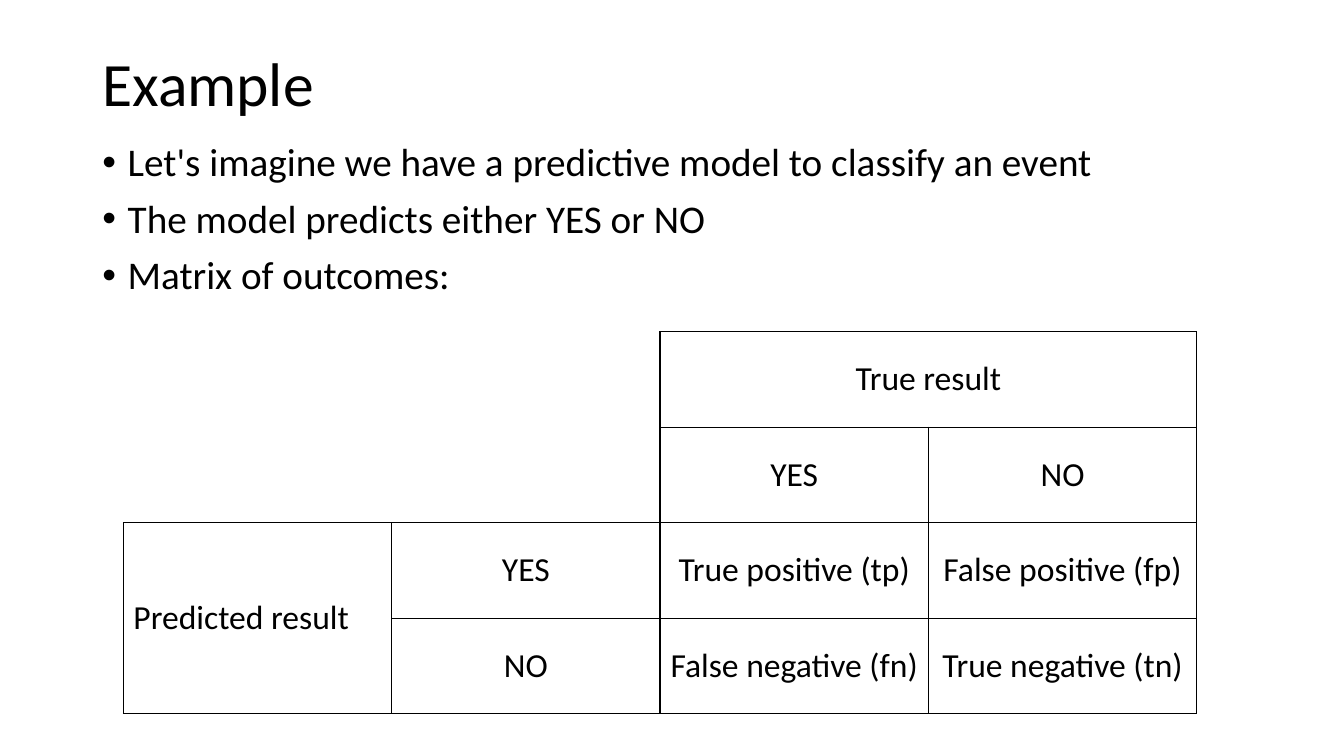
from lxml import etree
from pptx import Presentation
from pptx.dml.color import RGBColor
from pptx.enum.text import MSO_ANCHOR, PP_ALIGN
from pptx.oxml.ns import qn
from pptx.util import Cm, Pt

MIDDLE = MSO_ANCHOR.MIDDLE
TOP = MSO_ANCHOR.TOP
LEFT = PP_ALIGN.LEFT
CENTER = PP_ALIGN.CENTER
FONT = "Calibri"
BLACK = "000000"

POINTS = [
    "Let's imagine we have a predictive model to classify an event",
    "The model predicts\u00a0either YES or NO",
    "Matrix of outcomes:",
]
MATRIX = [
    ["", "", "True result", ""],
    ["", "", "YES", "NO"],
    ["Predicted result", "YES", "True positive (tp)", "False positive (fp)"],
    ["", "NO", "False negative (fn)", "True negative (tn)"],
]
# First and last cell of each merged block, as (row, column)
SPANS = [((0, 0), (1, 1)), ((0, 2), (0, 3)), ((2, 0), (3, 0))]


def color(code):
    return RGBColor.from_string(code)


def write(para, text, size):
    run = para.add_run()
    run.text = text
    run.font.name = FONT
    run.font.size = Pt(size)
    run.font.color.rgb = color(BLACK)


def add_box(slide, box, anchor):
    frame = slide.shapes.add_textbox(*map(Cm, box)).text_frame
    frame.word_wrap = True
    frame.vertical_anchor = anchor
    return frame


def add_title(slide, box, text):
    para = add_box(slide, box, MIDDLE).paragraphs[0]
    para.line_spacing = 0.9
    write(para, text, 44)


def add_points(slide, box, points):
    frame = add_box(slide, box, TOP)
    for num, text in enumerate(points):
        para = frame.add_paragraph() if num else frame.paragraphs[0]
        para.line_spacing = 0.9
        para.space_before = Pt(10)
        props = para._p.get_or_add_pPr()
        props.set("marL", str(Cm(0.64)))
        props.set("indent", str(-Cm(0.64)))
        etree.SubElement(props, qn("a:buFont"), typeface="Arial")
        etree.SubElement(props, qn("a:buChar"), char="•")
        write(para, text, 28)


def set_edges(cell, shown):
    """Draw the sides named in shown and hide the others."""
    props = cell._tc.get_or_add_tcPr()
    for side in "LRTB":
        line = etree.SubElement(props, qn(f"a:ln{side}"), w=str(Pt(1)))
        if side in shown:
            fill = etree.SubElement(line, qn("a:solidFill"))
            etree.SubElement(fill, qn("a:srgbClr"), val=BLACK)
        else:
            etree.SubElement(line, qn("a:noFill"))


def add_matrix(slide, box, rows):
    count, width = len(rows), len(rows[0])
    table = slide.shapes.add_table(count, width, *map(Cm, box)).table
    table.first_row = False
    table.horz_banding = False
    for col in table.columns:
        col.width = Cm(box[2] / width)
    for row in table.rows:
        row.height = Cm(box[3] / count)
    for first, last in SPANS:
        table.cell(*first).merge(table.cell(*last))
    for r, row in enumerate(rows):
        for c, text in enumerate(row):
            cell = table.cell(r, c)
            set_edges(cell, "RB" if r < 2 and c < 2 else "LRTB")
            cell.fill.background()
            cell.vertical_anchor = MIDDLE
            if text:
                para = cell.text_frame.paragraphs[0]
                para.alignment = CENTER if c else LEFT
                write(para, text, 24)


def main():
    deck = Presentation()
    deck.slide_width, deck.slide_height = Cm(33.87), Cm(19.05)
    slide = deck.slides.add_slide(deck.slide_layouts[6])
    add_title(slide, (2.33, 0.33, 29.21, 3.68), "Example")
    add_points(slide, (2.33, 3.48, 29.21, 12.09), POINTS)
    add_matrix(slide, (3.11, 8.36, 27.05, 9.63), MATRIX)
    deck.save("out.pptx")


if __name__ == "__main__":
    main()
